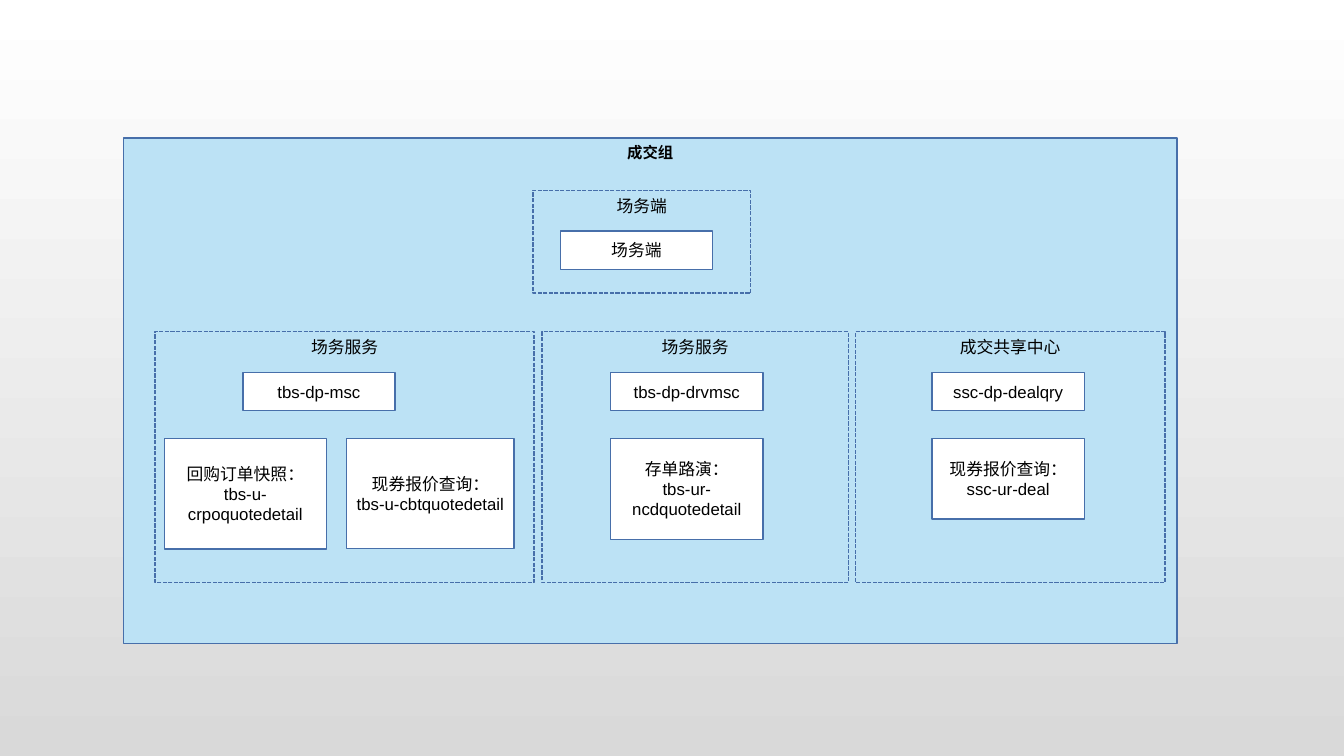
from pptx import Presentation
from pptx.dml.color import RGBColor
from pptx.enum.dml import MSO_LINE
from pptx.enum.shapes import MSO_SHAPE
from pptx.enum.text import MSO_ANCHOR, PP_ALIGN
from pptx.util import Cm, Pt

RECTANGLE = MSO_SHAPE.RECTANGLE
DASHED = MSO_LINE.SQUARE_DOT
TOP, MIDDLE = MSO_ANCHOR.TOP, MSO_ANCHOR.MIDDLE
CENTER = PP_ALIGN.CENTER

WHITE = RGBColor(0xFF, 0xFF, 0xFF)
GREY = RGBColor(0xD9, 0xD9, 0xD9)
BLACK = RGBColor(0, 0, 0)
SKY = RGBColor(0xBC, 0xE2, 0xF5)
BLUE = RGBColor(0x47, 0x6F, 0xAA)

LABEL_FONT = {"name": "Arial", "size": Pt(12), "bold": False}
HEADING_FONT = {"name": "Arial", "size": Pt(11), "bold": True}

GROUP_BOX = (3.12, 3.48, 26.54, 12.73)
NAME_WIDTH, NAME_HEIGHT = 3.84, 0.97
NAME_TOP, DETAIL_TOP = 1.02, 2.69
ROW_TOP, ROW_HEIGHT = 4.88, 6.32

TERMINAL_ZONE = ((10.31, 1.32, 5.49, 2.59), "场务端", 0.69, "场务端", [])
SERVICE_ZONES = [
    ((0.79, ROW_TOP, 9.55, ROW_HEIGHT), "场务服务", 2.21, "tbs-dp-msc", [
        (0.23, 4.09, 2.79, ["回购订单快照：", "tbs-u-crpoquotedetail"]),
        (4.83, 4.22, 2.77, ["现券报价查询：", "tbs-u-cbtquotedetail"]),
    ]),
    ((10.54, ROW_TOP, 7.72, ROW_HEIGHT), "场务服务", 1.73, "tbs-dp-drvmsc", [
        (1.73, NAME_WIDTH, 2.54, ["存单路演：", "tbs-ur-ncdquotedetail"]),
    ]),
    ((18.44, ROW_TOP, 7.8, ROW_HEIGHT), "成交共享中心", 1.93, "ssc-dp-dealqry", [
        (1.93, NAME_WIDTH, 2.03, ["现券报价查询：", "ssc-ur-deal"]),
    ]),
]


def add_box(slide, box, lines, fill=None, anchor=MIDDLE, font=LABEL_FONT):
    panel = slide.shapes.add_shape(RECTANGLE, *map(Cm, box))
    panel.shadow.inherit = False
    if fill is None:
        panel.fill.background()
        panel.line.dash_style = DASHED
    else:
        panel.fill.solid()
        panel.fill.fore_color.rgb = fill
    panel.line.color.rgb = BLUE
    panel.line.width = Pt(1)
    wording = panel.text_frame
    wording.word_wrap = True
    wording.vertical_anchor = anchor
    wording.text = "\n".join(lines)
    for paragraph in wording.paragraphs:
        paragraph.alignment = CENTER
        for attribute, value in font.items():
            setattr(paragraph.font, attribute, value)
        paragraph.font.color.rgb = BLACK


def add_zone(slide, origin, zone):
    (left, top, width, height), heading, name_left, name, details = zone
    left, top = left + origin[0], top + origin[1]
    add_box(slide, (left, top, width, height), [heading], anchor=TOP)
    name_box = (left + name_left, top + NAME_TOP, NAME_WIDTH, NAME_HEIGHT)
    add_box(slide, name_box, [name], WHITE)
    for detail_left, detail_width, detail_height, lines in details:
        detail_box = (left + detail_left, top + DETAIL_TOP,
                      detail_width, detail_height)
        add_box(slide, detail_box, lines, WHITE)


def add_deal_group(slide, box):
    add_box(slide, box, ["成交组"], SKY, TOP, HEADING_FONT)
    for zone in [TERMINAL_ZONE, *SERVICE_ZONES]:
        add_zone(slide, box[:2], zone)


def paint_background(slide):
    backdrop = slide.background.fill
    backdrop.gradient()
    backdrop.gradient_angle = 270
    for stop, position, color in zip(backdrop.gradient_stops, (0, 1), (WHITE, GREY)):
        stop.position = position
        stop.color.rgb = color


def main():
    deck = Presentation()
    deck.slide_width, deck.slide_height = Cm(33.87), Cm(19.05)
    slide = deck.slides.add_slide(deck.slide_layouts[6])
    paint_background(slide)
    add_deal_group(slide, GROUP_BOX)
    deck.save("out.pptx")


if __name__ == "__main__":
    main()
